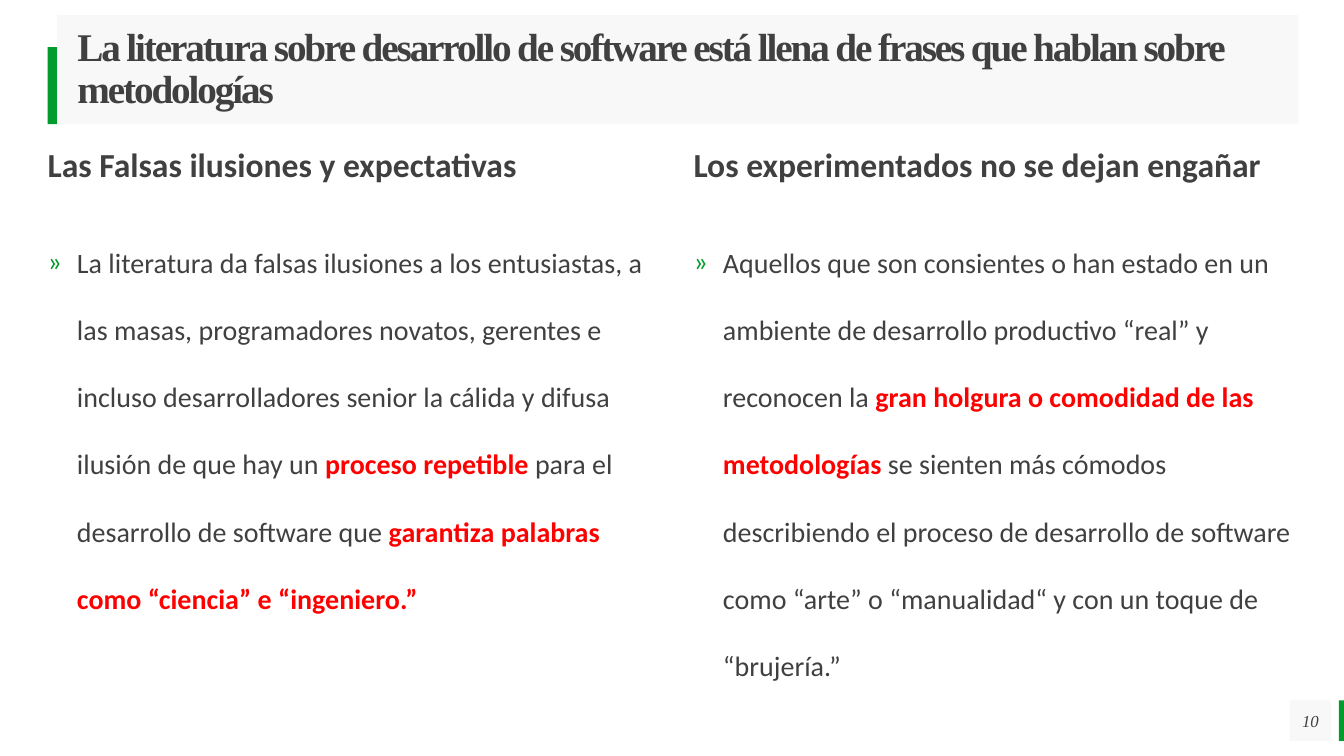
from lxml.etree import SubElement
from pptx import Presentation
from pptx.dml.color import RGBColor
from pptx.enum.shapes import MSO_SHAPE
from pptx.enum.text import MSO_ANCHOR, PP_ALIGN
from pptx.oxml.ns import qn
from pptx.util import Cm, Pt

GREEN = RGBColor(0x02, 0x9B, 0x2D)
DARK = RGBColor(0x40, 0x40, 0x40)
PALE = RGBColor(0xF2, 0xF2, 0xF2)
RED = RGBColor(0xFF, 0x00, 0x00)
BODY_FONT = "Calibri"
TITLE_FONT = "Times New Roman"

COLUMNS = [
    (1.2, 15.2, "Las Falsas ilusiones y expectativas", [
        ("La literatura da falsas ilusiones a los entusiastas, a las masas, "
         "programadores novatos, gerentes e incluso desarrolladores senior la "
         "cálida y difusa ilusión de que hay un ", False),
        ("proceso repetible ", True),
        ("para el desarrollo de software que ", False),
        ("garantiza palabras como “ciencia” e “ingeniero.”", True),
    ]),
    (17.48, 15.24, "Los experimentados no se dejan engañar", [
        ("Aquellos que son consientes o han estado en un ambiente de desarrollo "
         "productivo “real” y reconocen la ", False),
        ("gran holgura o comodidad de las metodologías ", True),
        ("se sienten más cómodos describiendo el proceso de desarrollo de "
         "software como “arte” o “manualidad“ y con un toque de “brujería.”", False),
    ]),
]


def add_panel(page, left, top, width, height, color, opacity=100):
    panel = page.shapes.add_shape(MSO_SHAPE.RECTANGLE, Cm(left), Cm(top), Cm(width), Cm(height))
    panel.shadow.inherit = False
    panel.line.fill.background()
    panel.fill.solid()
    panel.fill.fore_color.rgb = color
    if opacity < 100:
        color_node = panel.fill._xPr.find(qn("a:solidFill"))[0]
        SubElement(color_node, qn("a:alpha"), val=str(opacity * 1000))
    return panel


def prepare_frame(shape, inset=0):
    frame = shape.text_frame
    frame.word_wrap = True
    frame.margin_left = Cm(inset)
    frame.margin_right = frame.margin_top = frame.margin_bottom = 0
    return frame


def add_frame(page, left, top, width, height):
    return prepare_frame(page.shapes.add_textbox(Cm(left), Cm(top), Cm(width), Cm(height)))


def style(span, name, size, color=DARK, bold=False, italic=False):
    font = span.font
    font.name, font.size = name, Pt(size)
    font.bold, font.italic = bold, italic
    font.color.rgb = color


def add_bullet(para, indent):
    props = para._p.get_or_add_pPr()
    props.set("marL", str(Cm(indent)))
    props.set("indent", str(-Cm(indent)))
    color = SubElement(props, qn("a:buClr"))
    SubElement(color, qn("a:srgbClr"), val=str(GREEN))
    SubElement(props, qn("a:buFont"), typeface=BODY_FONT)
    SubElement(props, qn("a:buChar"), char="»")


def add_title(page, left, top, width, height):
    accent_width, accent_height = 0.24, 1.94
    add_panel(page, left, top + height - accent_height, accent_width, accent_height, GREEN)
    panel = add_panel(page, left + accent_width, top, width - accent_width, height, PALE, 50)
    frame = prepare_frame(panel, 0.51)
    frame.vertical_anchor = MSO_ANCHOR.MIDDLE
    para = frame.paragraphs[0]
    para.text = ("La literatura sobre desarrollo de software está llena de frases "
                 "que hablan sobre metodologías")
    para.alignment = PP_ALIGN.LEFT
    para.line_spacing = 0.9
    span = para.runs[0]
    style(span, TITLE_FONT, 28, bold=True)
    span._r.get_or_add_rPr().set("spc", "-150")


def add_column(page, left, top, width, height, heading, pieces):
    para = add_frame(page, left, top, width, 1).paragraphs[0]
    para.text = heading
    para.line_spacing = 0.9
    style(para.runs[0], BODY_FONT, 24, bold=True)

    body_offset = 1.6
    frame = add_frame(page, left, top + body_offset, width, height - body_offset)
    para = frame.paragraphs[0]
    add_bullet(para, 0.74)
    para.line_spacing = 2.0
    for wording, stressed in pieces:
        span = para.add_run()
        span.text = wording
        style(span, BODY_FONT, 20, RED if stressed else DARK, bold=stressed)


def add_page_number(page, left, top, width, height):
    accent_width, gap = 0.13, 0.2
    add_panel(page, left + width - accent_width, top, accent_width, height, GREEN)
    panel = add_panel(page, left, top, width - accent_width - gap, height, PALE, 50)
    frame = prepare_frame(panel)
    frame.vertical_anchor = MSO_ANCHOR.MIDDLE
    para = frame.paragraphs[0]
    para.text = "10"
    para.alignment = PP_ALIGN.CENTER
    style(para.runs[0], TITLE_FONT, 12, italic=True)


def main():
    deck = Presentation()
    deck.slide_width, deck.slide_height = Cm(33.87), Cm(19.05)
    page = deck.slides.add_slide(deck.slide_layouts[6])
    add_title(page, 1.2, 0.38, 31.52, 2.75)
    for left, width, heading, pieces in COLUMNS:
        add_column(page, left, 3.73, width, 13.26, heading, pieces)
    add_page_number(page, 32.51, 17.65, 1.36, 1.02)
    deck.save("out.pptx")


if __name__ == "__main__":
    main()
